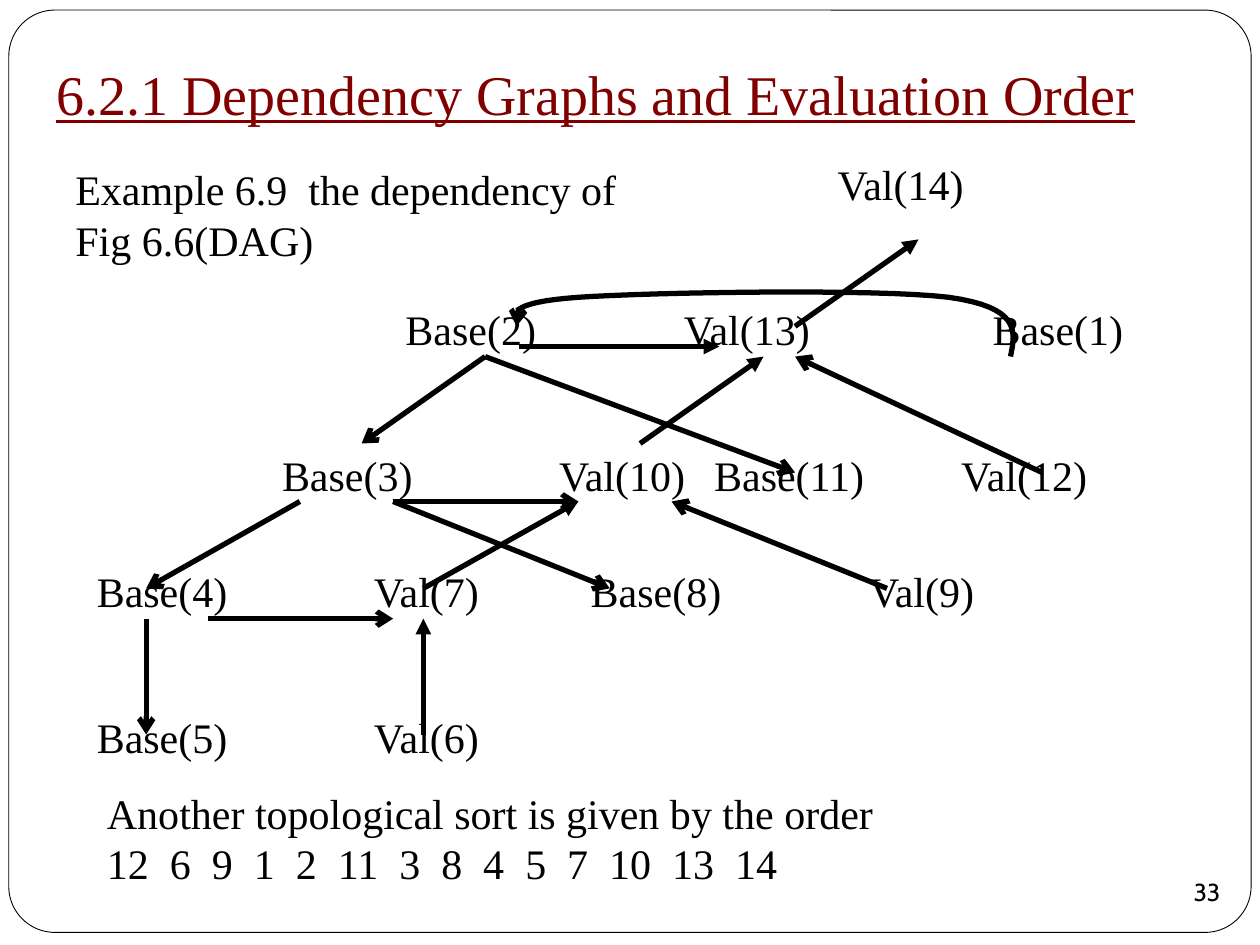
from lxml import etree
from pptx import Presentation
from pptx.dml.color import RGBColor
from pptx.enum.shapes import MSO_CONNECTOR, MSO_SHAPE
from pptx.enum.text import MSO_ANCHOR, PP_ALIGN
from pptx.oxml.ns import qn
from pptx.util import Inches, Pt

STRAIGHT = MSO_CONNECTOR.STRAIGHT
ROUNDED, OVAL = MSO_SHAPE.ROUNDED_RECTANGLE, MSO_SHAPE.OVAL
MIDDLE = MSO_ANCHOR.MIDDLE
LEFT, CENTER, JUSTIFY = PP_ALIGN.LEFT, PP_ALIGN.CENTER, PP_ALIGN.JUSTIFY

THEME = {
    "ink": RGBColor(0, 0, 0),
    "paper": RGBColor(255, 255, 255),
    "heading": RGBColor(128, 0, 0),
    "title": {"name": "Times New Roman", "size": Pt(32), "underline": True},
    "body": {"name": "Times New Roman", "size": Pt(24)},
    "number": {"name": "Cabin", "size": Pt(14)},
    "edge": Pt(3),
    "border": Pt(0.5),
}


def write(shape, lines, style, color, align):
    frame = shape.text_frame
    frame.word_wrap = True
    frame.text = "\n".join(lines)
    for paragraph in frame.paragraphs:
        paragraph.alignment = align
        for run in paragraph.runs:
            run.font.color.rgb = color
            for key, value in THEME[style].items():
                setattr(run.font, key, value)


def style_edge(edge, arrowhead):
    edge.line.color.rgb = THEME["ink"]
    edge.line.width = THEME["edge"]
    tail = etree.SubElement(edge.line._get_or_add_ln(), qn("a:tailEnd"))
    tail.set("type", arrowhead)


prs = Presentation()
prs.slide_width, prs.slide_height = Inches(10), Inches(7.5)
slide = prs.slides.add_slide(prs.slide_layouts[6])
shapes = slide.shapes

border = shapes.add_shape(ROUNDED, Inches(0.07), Inches(0.08), Inches(9.86), Inches(7.32))
border.adjustments[0] = 0.05
border.shadow.inherit = False
border.fill.solid()
border.fill.fore_color.rgb = THEME["paper"]
border.line.color.rgb = THEME["ink"]
border.line.width = THEME["border"]

node_rows = [
    (1.21, [("Val(14)", 6.55)]),
    (2.36, [("Base(2)", 3.12), ("Val(13)", 5.33), ("Base(1)", 7.78)]),
    (3.52, [("Base(3)", 2.14), ("Val(10)", 4.34), ("Base(11)", 5.57), ("Val(12)", 7.53)]),
    (4.44, [("Base(4)", 0.67), ("Val(7)", 2.87), ("Base(8)", 4.59), ("Val(9)", 6.8)]),
    (5.6, [("Base(5)", 0.67), ("Val(6)", 2.87)]),
]
for top, nodes in node_rows:
    for label, left in nodes:
        node = shapes.add_textbox(Inches(left), Inches(top), Inches(1.47), Inches(0.69))
        write(node, [label], "body", THEME["ink"], JUSTIFY)

dependencies = {
    "triangle": [
        (3.36, 5.83, 3.36, 4.91),
        (3.36, 4.67, 4.59, 3.98),
        (5.08, 3.52, 6.06, 2.83),
        (6.31, 2.59, 7.29, 1.9),
        (4.12, 2.75, 5.71, 2.75),
    ],
    "arrow": [
        (8.27, 3.75, 6.31, 2.83),
        (7.04, 4.67, 5.33, 3.98),
        (2.38, 3.98, 1.16, 4.67),
        (3.85, 2.83, 2.87, 3.52),
        (3.12, 3.98, 4.84, 4.67),
        (1.16, 4.91, 1.16, 5.83),
        (3.85, 2.83, 6.31, 3.75),
        (3.12, 3.98, 4.59, 3.98),
        (1.65, 4.91, 3.12, 4.91),
    ],
}
for arrowhead, edges in dependencies.items():
    for ends in edges:
        edge = shapes.add_connector(STRAIGHT, *map(Inches, ends))
        style_edge(edge, arrowhead)
        etree.SubElement(edge._element.spPr, qn("a:effectLst"))

arc_start = (8.02, 2.83)
arc_bends = [
    ((8.06, 2.63), (8.1, 2.44), (7.53, 2.36)),
    ((6.96, 2.29), (5.16, 2.32), (4.59, 2.36)),
    ((4.02, 2.4), (4.06, 2.5), (4.1, 2.59)),
]
steps = 16
arc_points = []
bend_start = arc_start
for first, second, bend_end in arc_bends:
    for step in range(1, steps + 1):
        t = step / steps
        weights = ((1 - t) ** 3, 3 * t * (1 - t) ** 2, 3 * t**2 * (1 - t), t**3)
        controls = (bend_start, first, second, bend_end)
        arc_points.append(tuple(
            Inches(sum(w * point[axis] for w, point in zip(weights, controls)))
            for axis in (0, 1)
        ))
    bend_start = bend_end
builder = shapes.build_freeform(*map(Inches, arc_start))
builder.add_line_segments(arc_points, close=False)
arc = builder.convert_to_shape()
arc.fill.background()
arc.shadow.inherit = False
style_edge(arc, "arrow")

sort_order = shapes.add_textbox(Inches(0.75), Inches(6.2), Inches(9.25), Inches(1.3))
write(sort_order, [
    "Another topological sort is given by the order",
    "12  6  9  1  2  11  3  8  4  5  7  10  13  14",
], "body", THEME["ink"], JUSTIFY)

title = shapes.add_textbox(Inches(0.35), Inches(0.42), Inches(9.2), Inches(0.64))
write(title, ["6.2.1 Dependency Graphs and Evaluation Order"], "title", THEME["heading"], LEFT)

example = shapes.add_textbox(Inches(0.5), Inches(1.25), Inches(4.5), Inches(0.9))
write(example, ["Example 6.9  the dependency of Fig 6.6(DAG)"], "body", THEME["ink"], LEFT)

page_number = shapes.add_shape(OVAL, Inches(9.33), Inches(6.83), Inches(0.5), Inches(0.5))
page_number.shadow.inherit = False
page_number.fill.background()
page_number.line.fill.background()
number_format = {"margin_left": 0, "margin_right": 0, "margin_top": 0,
                 "margin_bottom": 0, "vertical_anchor": MIDDLE}
for key, value in number_format.items():
    setattr(page_number.text_frame, key, value)
write(page_number, ["33"], "number", THEME["ink"], CENTER)

prs.save("out.pptx")
